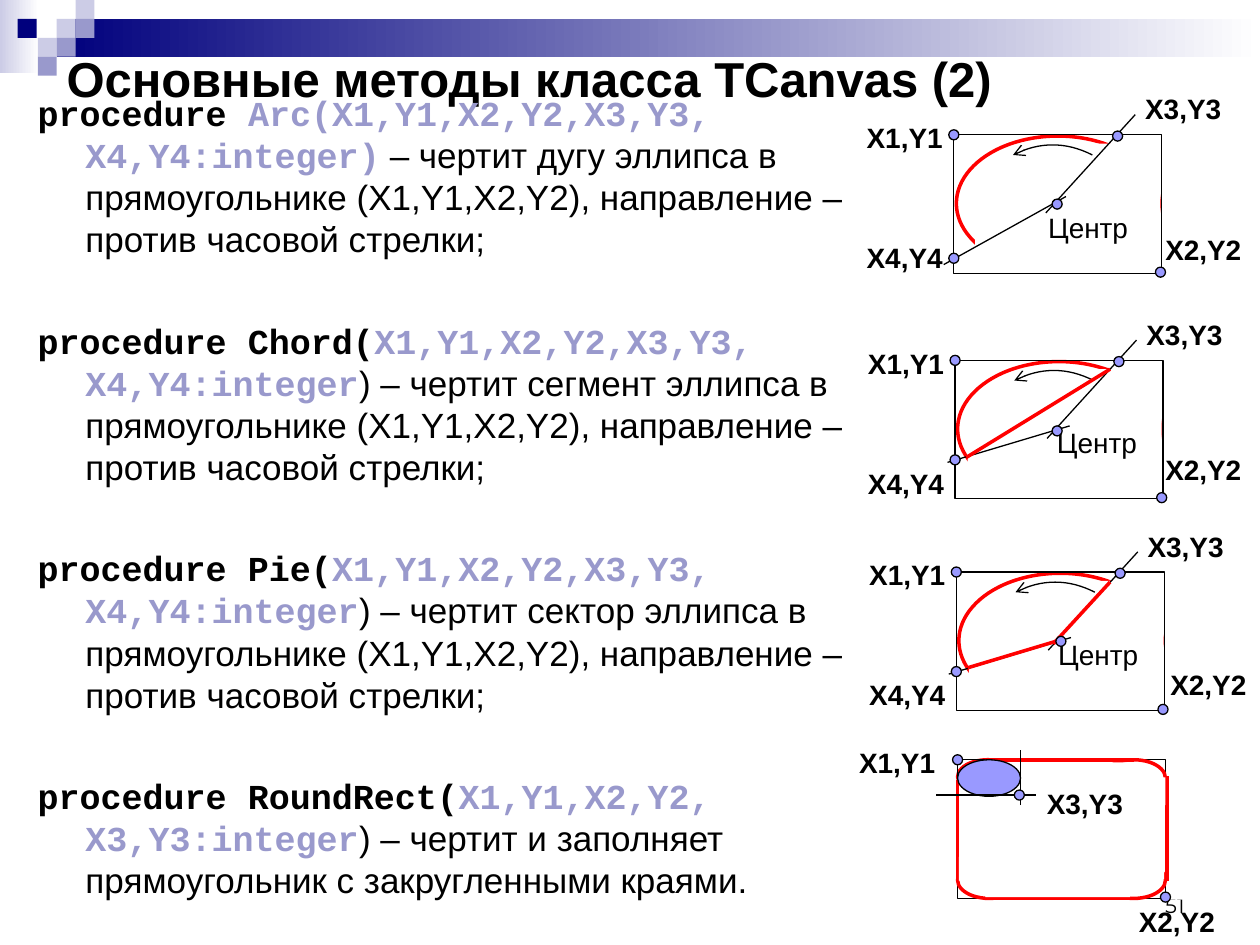
from pptx import Presentation
from pptx.dml.color import RGBColor
from pptx.enum.shapes import MSO_CONNECTOR, MSO_SHAPE
from pptx.enum.text import MSO_ANCHOR, PP_ALIGN
from pptx.oxml.ns import qn
from pptx.util import Inches, Pt
from lxml import etree

COLORS = {
    "black": "000000", "white": "FFFFFF", "red": "FF0000", "navy": "00007D",
    "pale": "CCCCE6", "lilac": "9999CC", "dot": "9999FF",
}
THIN, THICK = 0.75, 2


def rgb(name):
    return RGBColor.from_string(COLORS[name])


def add_run(p, text, size=16, font="Arial", color="black", bold=False):
    r = p.add_run()
    r.text = text
    r.font.size = Pt(size)
    r.font.name = font
    r.font.bold = bold
    r.font.color.rgb = rgb(color)


class Canvas:
    """Draws on one slide, with positions relative to a movable origin."""

    def __init__(self, slide):
        self.s = slide
        self.x = self.y = 0

    def origin(self, x, y):
        self.x, self.y = x, y

    def place(self, x, y):
        return Inches(self.x + x), Inches(self.y + y)

    def shape(self, kind, x, y, w, h, fill=None, line=None, width=THIN):
        sp = self.s.shapes.add_shape(kind, *self.place(x, y), Inches(w), Inches(h))
        sp.shadow.inherit = False
        if isinstance(fill, tuple):
            sp.fill.gradient()
            sp.fill.gradient_angle = 0
            for stop, color in zip(sp.fill.gradient_stops, fill):
                stop.color.rgb = rgb(color)
        elif fill:
            sp.fill.solid()
            sp.fill.fore_color.rgb = rgb(fill)
        else:
            sp.fill.background()
        self.outline(sp, line, width)

    def outline(self, sp, color, width):
        if color:
            sp.line.color.rgb = rgb(color)
            sp.line.width = Pt(width)
        else:
            sp.line.fill.background()

    def rect(self, *box, **style):
        self.shape(MSO_SHAPE.RECTANGLE, *box, **style)

    def oval(self, *box, **style):
        self.shape(MSO_SHAPE.OVAL, *box, **style)

    def mask(self, *box):
        self.rect(*box, fill="white")

    def dot(self, cx, cy, d=0.08):
        self.oval(cx - d / 2, cy - d / 2, d, d, fill="dot", line="black")

    def line(self, x1, y1, x2, y2, color="black", width=THIN):
        cn = self.s.shapes.add_connector(
            MSO_CONNECTOR.STRAIGHT, *self.place(x1, y1), *self.place(x2, y2))
        self.outline(cn, color, width)
        etree.SubElement(cn._element.spPr, qn("a:effectLst"))

    def red_line(self, *ends):
        self.line(*ends, color="red", width=THICK)

    def curved_arrow(self, x, y, w, h, steps=16):
        """Shallow arch running from right to left, with an arrowhead."""
        pts = [self.place(x + w * (1 - i / steps), y + h * (2 * i / steps - 1) ** 2)
               for i in range(steps + 1)]
        fb = self.s.shapes.build_freeform(*pts[0])
        fb.add_line_segments(pts[1:], close=False)
        sp = fb.convert_to_shape()
        sp.shadow.inherit = False
        sp.fill.background()
        self.outline(sp, "black", THIN)
        etree.SubElement(sp.line._get_or_add_ln(), qn("a:tailEnd"), type="arrow")

    def text_box(self, x, y, w, h, anchor=MSO_ANCHOR.TOP):
        tb = self.s.shapes.add_textbox(*self.place(x, y), Inches(w), Inches(h))
        tf = tb.text_frame
        tf.word_wrap = True
        tf.vertical_anchor = anchor
        return tf

    def label(self, text, x, y, bold=True):
        """One-line caption; the box is wide enough for every label."""
        tf = self.text_box(x, y, 0.92, 0.37)
        tf.margin_right = 0
        add_run(tf.paragraphs[0], text, bold=bold)

    def ellipse_diagram(self, x, y, mask_x, ray, x4_y, x2, center, center_dot, reds=()):
        """Part of an ellipse between two rays inside a bounding rectangle."""
        self.origin(x, y)
        self.oval(0.02, 0.01, 1.61, 1.07, line="red", width=THICK)
        self.mask(1.1, 0.07, 0.54, 0.96)
        self.line(0.73, 0.62, 1.44, -0.16)
        self.mask(mask_x, 0.63, 1.34 - mask_x, 0.47)
        self.line(*ray)
        self.rect(0, 0, 1.65, 1.1, line="black")
        self.curved_arrow(0.47, 0.08, 0.63, 0.08)
        self.label("X1,Y1", -0.79, -0.16)
        self.label("X3,Y3", 1.42, -0.39)
        self.label("X2,Y2", *x2)
        self.label("X4,Y4", -0.79, 0.79)
        self.label("Центр", *center, bold=False)
        for cx, cy in [(0, 0), (1.64, 1.09), (1.3, 0.01), (0, x4_y)]:
            self.dot(cx, cy)
        for ends in reds:
            self.red_line(*ends)
        self.dot(*center_dot)

    def round_rect_diagram(self, x, y):
        """Rounded rectangle made of corner ellipses and side lines."""
        self.origin(x, y)
        self.oval(0, 0, 0.48, 0.27, line="red", width=THICK)
        self.mask(0.1, 0.63, 1.24, 0.47)
        self.rect(0, 0, 1.65, 1.1, line="black")
        self.label("X1,Y1", -0.88, -0.16)
        self.label("X2,Y2", 1.34, 1.1)
        self.dot(0, 0)
        self.dot(1.65, 1.09)
        for cx, cy in [(1.15, 0), (1.15, 0.81), (0, 0.81)]:
            self.oval(cx, cy, 0.5, 0.29, line="red", width=THICK)
        self.red_line(0.26, 1.1, 1.43, 1.1)
        self.red_line(1.66, 0.96, 1.66, 0.13)
        self.mask(-0.08, 0.16, 0.63, 0.13)
        self.mask(0.25, 0, 0.3, 0.24)
        self.red_line(0, 0.95, 0, 0.16)
        self.red_line(0.22, 0, 1.4, 0)
        # Corner ellipse that defines X3,Y3
        self.oval(0, 0, 0.5, 0.29, fill="dot", line="black")
        self.line(-0.17, 0.28, 0.62, 0.28)
        self.line(0.5, 0.36, 0.5, -0.08)
        self.dot(0.49, 0.28)
        # Hide the inner halves of the corner ellipses
        for box in [(0.01, 0.77, 0.63, 0.19), (0.22, 0.88, 1.15, 0.21),
                    (1.01, 0.76, 0.63, 0.19), (1.01, 0.14, 0.64, 0.22),
                    (0.77, 0.02, 0.63, 0.19)]:
            self.mask(*box)
        self.label("X3,Y3", 0.61, 0.16)


ELLIPSE_TEXT = " эллипса в прямоугольнике (X1,Y1,X2,Y2), направление – против часовой стрелки;"
ARGS = "X1,Y1,X2,Y2,X3,Y3, X4,Y4:integer"
METHODS = [  # keyword, highlighted arguments, description
    ("procedure ", f"Arc({ARGS})", " – чертит дугу" + ELLIPSE_TEXT),
    ("procedure Chord(", ARGS, ") – чертит сегмент" + ELLIPSE_TEXT),
    ("procedure Pie(", ARGS, ") – чертит сектор" + ELLIPSE_TEXT),
    ("procedure RoundRect(", "X1,Y1,X2,Y2, X3,Y3:integer",
     ") – чертит и заполняет прямоугольник с закругленными краями."),
]


def main():
    prs = Presentation()
    prs.slide_width, prs.slide_height = Inches(10), Inches(7.5)
    c = Canvas(prs.slides.add_slide(prs.slide_layouts[6]))

    # Header band and squares
    c.rect(0, 0, 0.31, 0.58, fill=("pale", "white"))
    c.rect(0.45, 0.15, 9.55, 0.3, fill=("navy", "white"))
    for x, y, color in [(0.45, 0.15, "pale"), (0.6, 0, "pale"), (0.6, 0.15, "lilac"),
                        (0.3, 0.3, "pale"), (0.14, 0.15, "navy"),
                        (0.45, 0.3, "lilac"), (0.3, 0.45, "lilac")]:
        c.rect(x, y, 0.15, 0.15, fill=color)

    # Slide number, partly covered
    p = c.text_box(7.17, 6.83, 2.33, 0.5, anchor=MSO_ANCHOR.BOTTOM).paragraphs[0]
    p.alignment = PP_ALIGN.RIGHT
    add_run(p, "51", size=12, font="Montserrat")
    c.mask(8.68, 6.9, 0.73, 0.24)

    # Title
    tf = c.text_box(0.43, 0.37, 9, 0.49, anchor=MSO_ANCHOR.MIDDLE)
    add_run(tf.paragraphs[0], "Основные методы класса TCanvas (2)", size=28, bold=True)

    # Method descriptions
    tf = c.text_box(0.2, 0.68, 6.69, 7.09)
    for i, (keyword, args, description) in enumerate(METHODS):
        p = tf.add_paragraph() if i else tf.paragraphs[0]
        p.line_spacing = Pt(24)
        p.space_before = Pt(34 if i else 0)
        pPr = p._p.get_or_add_pPr()
        pPr.set("marL", str(Inches(0.38)))
        pPr.set("indent", str(-Inches(0.38)))
        add_run(p, keyword, size=20, font="Courier New", bold=True)
        add_run(p, args, size=20, font="Courier New", color="lilac", bold=True)
        add_run(p, description, size=20)

    # Diagrams: Arc, Chord, Pie, RoundRect
    ray = (-0.06, 0.81, 0.91, 0.52)
    c.ellipse_diagram(7.57, 1.07, 0.17, (-0.08, 1.03, 0.89, 0.49), 0.98,
                      (1.58, 0.73), (0.65, 0.55), (0.82, 0.55))
    c.ellipse_diagram(7.58, 2.86, 0.1, ray, 0.79, (1.57, 0.68), (0.71, 0.47),
                      (0.81, 0.56), [(0.09, 0.77, 1.23, 0.07)])
    c.ellipse_diagram(7.59, 4.54, 0.1, ray, 0.79, (1.6, 0.71), (0.71, 0.47), (0.83, 0.55),
                      [(0.09, 0.76, 0.79, 0.55), (0.77, 0.57, 1.22, 0.08)])
    c.round_rect_diagram(7.6, 6.03)

    prs.save("out.pptx")


if __name__ == "__main__":
    main()
